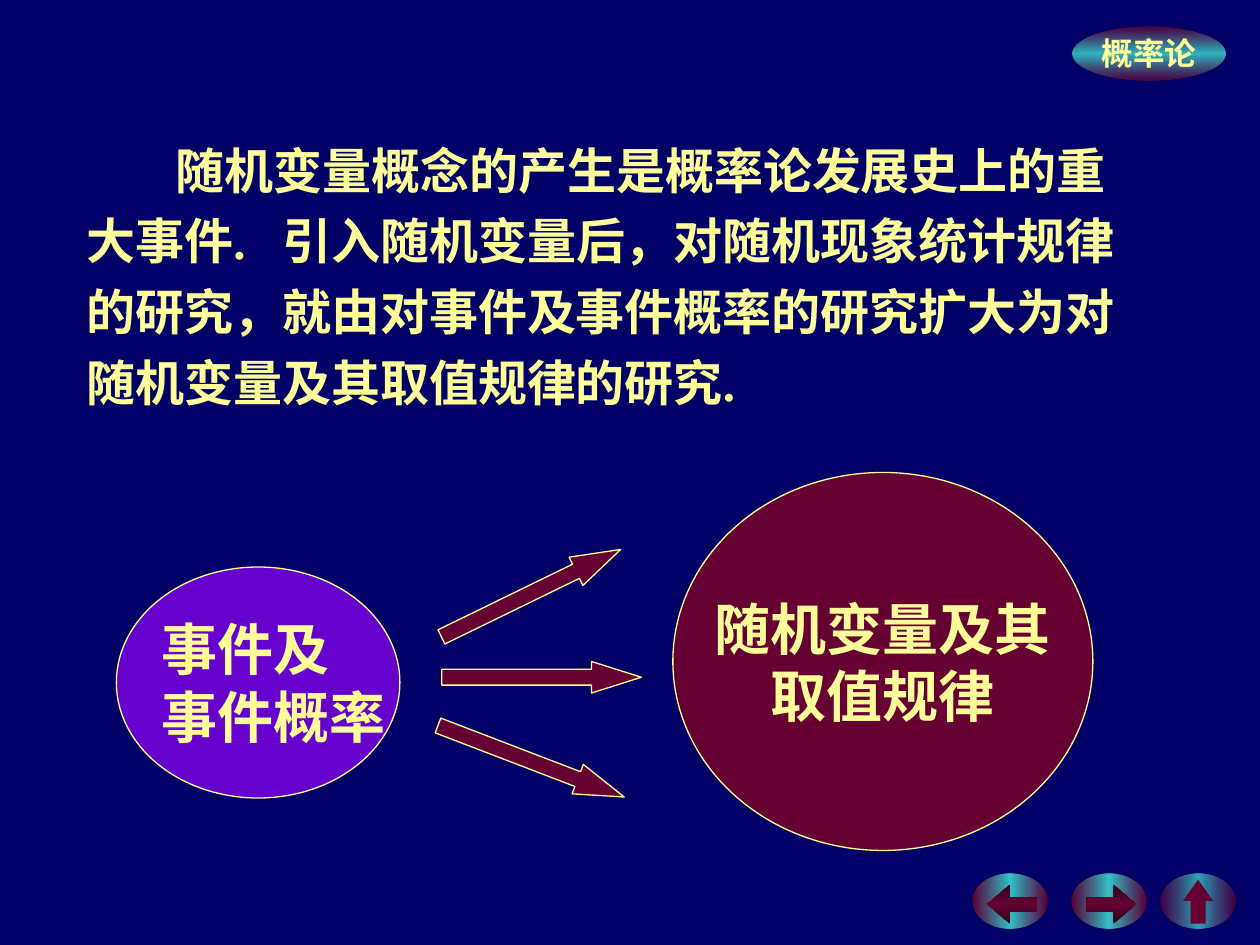
from lxml import etree
from pptx import Presentation
from pptx.dml.color import RGBColor
from pptx.enum.shapes import MSO_SHAPE
from pptx.enum.text import MSO_ANCHOR, PP_ALIGN
from pptx.oxml.ns import qn
from pptx.util import Pt

OVAL = MSO_SHAPE.OVAL
LEFT_ARROW = MSO_SHAPE.LEFT_ARROW
RIGHT_ARROW = MSO_SHAPE.RIGHT_ARROW
UP_ARROW = MSO_SHAPE.UP_ARROW
CENTER, LEFT = PP_ALIGN.CENTER, PP_ALIGN.LEFT
MIDDLE = MSO_ANCHOR.MIDDLE

NAVY, WINE, DARK_WINE = "000066", "660033", "2F0017"
TEAL, PURPLE, CREAM = "33CCCC", "6600CC", "FFFF99"

deck = Presentation()
deck.slide_width, deck.slide_height = Pt(720), Pt(540)
page = deck.slides.add_slide(deck.slide_layouts[6])
page.background.fill.solid()
page.background.fill.fore_color.rgb = RGBColor.from_string(NAVY)


def add_filled(kind, left, top, width, height, edge, middle=None,
               edge_alpha=100, middle_alpha=100, angle=90, outline=None):
    """Add a shape with a solid fill, or an edge-middle-edge gradient if middle is given."""
    shape = page.shapes.add_shape(kind, Pt(left), Pt(top), Pt(width), Pt(height))
    shape.shadow.inherit = False
    if outline:
        shape.line.color.rgb = RGBColor.from_string(outline)
        shape.line.width = Pt(0.75)
    else:
        shape.line.fill.background()
    if middle is None:
        shape.fill.solid()
        shape.fill.fore_color.rgb = RGBColor.from_string(edge)
        return shape
    shape.fill.gradient()
    shape.fill.gradient_angle = angle
    stops = shape._element.spPr.find(qn("a:gradFill")).find(qn("a:gsLst"))
    for stop in list(stops):
        stops.remove(stop)
    for position, color, alpha in ((0, edge, edge_alpha), (50, middle, middle_alpha),
                                   (100, edge, edge_alpha)):
        stop = etree.SubElement(stops, qn("a:gs"), pos=str(position * 1000))
        color_node = etree.SubElement(stop, qn("a:srgbClr"), val=color)
        if alpha < 100:
            etree.SubElement(color_node, qn("a:alpha"), val=str(alpha * 1000))
    return shape


def write_lines(shape, lines, size, align):
    frame = shape.text_frame
    frame.word_wrap = False
    for index, line in enumerate(lines):
        para = frame.add_paragraph() if index else frame.paragraphs[0]
        para.text = line
        para.alignment = align
        para.font.name = "Times New Roman"
        para.font.size = Pt(size)
        para.font.bold = True
        para.font.color.rgb = RGBColor.from_string(CREAM)


# Course badge
badge = add_filled(OVAL, 612.7, 15, 87.8, 31, WINE, TEAL, 73, 89)
badge.text_frame.vertical_anchor = MIDDLE
write_lines(badge, ["概率论"], 18, CENTER)

# Navigation buttons
for left, edge_alpha, middle_alpha in ((555.8, 86, 96), (612.2, 86, 96), (663.2, 62, 81)):
    add_filled(OVAL, left, 499.5, 42.6, 31.2, WINE, TEAL, edge_alpha, middle_alpha, angle=0)
back = add_filled(LEFT_ARROW, 564.3, 505.5, 28.3, 22.3, DARK_WINE, WINE)
forward = add_filled(RIGHT_ARROW, 620.8, 505.5, 28.3, 22.3, DARK_WINE, WINE)
up = add_filled(UP_ARROW, 676, 502.6, 17.2, 25.2, WINE)
for arrow, shaft, head in ((back, 0.36, 0.57), (forward, 0.36, 0.57), (up, 0.5, 0.71)):
    arrow.adjustments[0] = shaft
    arrow.adjustments[1] = head

# Main statement
statement = page.shapes.add_textbox(Pt(42.5), Pt(70), Pt(607), Pt(168.5))
write_lines(statement, ["随机变量概念的产生是概率论发展史上的重大事件."], 28, LEFT)
statement.text_frame.word_wrap = True
para = statement.text_frame.paragraphs[0]
para.line_spacing = 1.2
para._p.get_or_add_pPr().set("indent", str(Pt(51)))
gap = para.add_run()
gap.text = " "
gap._r.get_or_add_rPr().set("spc", "1400")
para.add_run().text = ("引入随机变量后，对随机现象统计规律的研究，"
                       "就由对事件及事件概率的研究扩大为对随机变量及其取值规律的研究.")

# From events to random variables
add_filled(OVAL, 66.5, 324, 162, 132, PURPLE, outline=CREAM)
events = page.shapes.add_textbox(Pt(85), Pt(347.8), Pt(142.6), Pt(84.2))
write_lines(events, ["事件及", "事件概率"], 32, LEFT)

for left, top, rotation in ((252.5, 378, 0), (246.5, 330, 334), (246.5, 426, 21)):
    arrow = add_filled(RIGHT_ARROW, left, top, 114, 18, WINE, outline=CREAM)
    arrow.adjustments[0] = 0.5
    arrow.adjustments[1] = 1.58
    arrow.rotation = rotation

variables = add_filled(OVAL, 384.5, 270, 240, 216, WINE, outline=CREAM)
variables.text_frame.vertical_anchor = MIDDLE
write_lines(variables, ["随机变量及其", "取值规律"], 32, CENTER)

deck.save("out.pptx")
